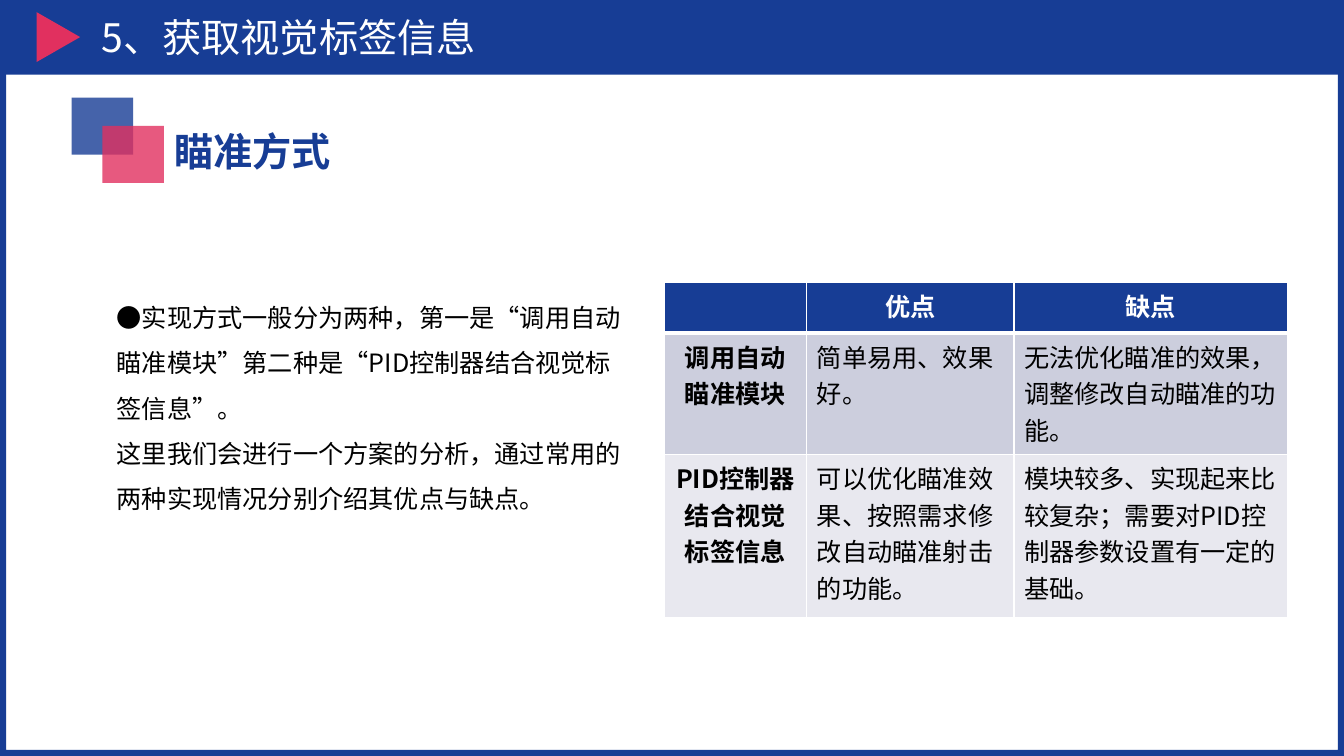
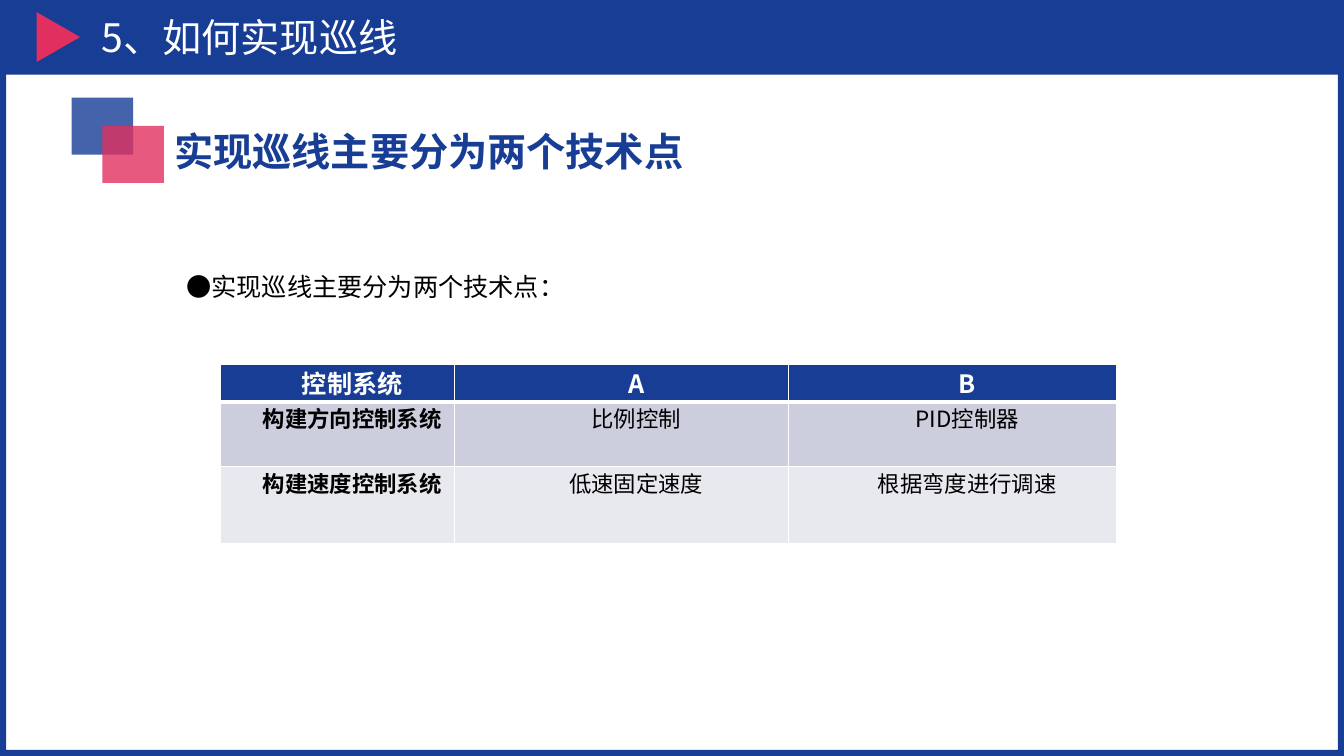
from dataclasses import dataclass

from lxml import etree
from pptx import Presentation
from pptx.dml.color import RGBColor
from pptx.enum.shapes import MSO_SHAPE
from pptx.enum.text import MSO_ANCHOR, PP_ALIGN
from pptx.oxml.ns import qn
from pptx.util import Pt

FONT = "Noto Sans CJK SC"
BLUE, RED, WHITE, BLACK = "173D95", "E1305F", "FFFFFF", "000000"
BAND_DARK, BAND_LIGHT = "CCCEDD", "E8E8EF"
SLIDE_WIDTH, SLIDE_HEIGHT, HEADER_HEIGHT = 960, 540, 53.3


@dataclass(frozen=True)
class Box:
    left: float
    top: float
    width: float
    height: float

    def lengths(self) -> tuple:
        return Pt(self.left), Pt(self.top), Pt(self.width), Pt(self.height)


@dataclass(frozen=True)
class Comparison:
    """A table whose first row and first column are headings."""
    left: float
    top: float
    columns: tuple
    rows: tuple
    cells: tuple
    body_size: float = 18
    body_align: PP_ALIGN = PP_ALIGN.LEFT
    indent: float = 0
    side_margin: float = 7.2
    end_margin: float = 3.6


@dataclass(frozen=True)
class Topic:
    title: str
    heading: str
    heading_width: float
    body: tuple
    body_box: Box
    line_spacing: float
    comparison: Comparison


TOPICS = (
    Topic(
        "5、获取视觉标签信息", "瞄准方式", 127.5,
        ("●实现方式一般分为两种，第一是“调用自动瞄准模块”第二种是“PID控制器结合视觉标签信息”。",
         "这里我们会进行一个方案的分析，通过常用的两种实现情况分别介绍其优点与缺点。"),
        Box(76.3, 201.6, 380.2, 170.6), 1.5,
        Comparison(
            474.3, 201.8, (102, 148, 195.2), (36, 87, 116),
            (("", "优点", "缺点"),
             ("调用自动瞄准模块", "简单易用、效果好。",
              "无法优化瞄准的效果，调整修改自动瞄准的功能。"),
             ("PID控制器结合视觉标签信息",
              "可以优化瞄准效果、按照需求修改自动瞄准射击的功能。",
              "模块较多、实现起来比较复杂；需要对PID控制器参数设置有一定的基础。")))),
    Topic(
        "5、如何实现巡线", "实现巡线主要分为两个技术点", 382.5,
        ("●实现巡线主要分为两个技术点：",),
        Box(126, 190, 731, 29), 1,
        Comparison(
            157.7, 260, (167, 238.5, 234.5), (27, 46, 55.5),
            (("控制系统", "A", "B"),
             ("构建方向控制系统", "比例控制", "PID控制器"),
             ("构建速度控制系统", "低速固定速度", "根据弯度进行调速")),
            body_size=16, body_align=PP_ALIGN.CENTER, indent=21,
            side_margin=5, end_margin=0)),
)


def rgb(color: str) -> RGBColor:
    return RGBColor.from_string(color)


def write(frame, *paragraphs: str, size: float = 18, color: str = BLACK,
          bold: bool = False, align: PP_ALIGN = PP_ALIGN.LEFT,
          line_spacing: float = 1, indent: float = 0) -> None:
    for index, text in enumerate(paragraphs):
        paragraph = frame.add_paragraph() if index else frame.paragraphs[0]
        paragraph.alignment = align
        paragraph.line_spacing = line_spacing
        if indent:
            paragraph._p.get_or_add_pPr().set("indent", str(Pt(indent)))
        run = paragraph.add_run()
        run.text = text
        run.font.size, run.font.bold, run.font.name = Pt(size), bold, FONT
        run.font.color.rgb = rgb(color)
        etree.SubElement(run._r.rPr, qn("a:ea"), typeface=FONT)


def add_text(shapes, box: Box, *paragraphs: str, wrap: bool = True,
             anchor: MSO_ANCHOR = MSO_ANCHOR.TOP, **text_format) -> None:
    frame = shapes.add_textbox(*box.lengths()).text_frame
    frame.word_wrap = wrap
    frame.vertical_anchor = anchor
    write(frame, *paragraphs, **text_format)


def add_solid(shapes, preset: MSO_SHAPE, box: Box, color: str, opacity: int = 100):
    """Add a preset shape without outline; opacity is a percentage."""
    solid = shapes.add_shape(preset, *box.lengths())
    solid.shadow.inherit = False
    solid.fill.solid()
    solid.fill.fore_color.rgb = rgb(color)
    solid.line.fill.background()
    if opacity < 100:
        tint = solid._element.spPr.find(f"{qn('a:solidFill')}/{qn('a:srgbClr')}")
        etree.SubElement(tint, qn("a:alpha"), val=str(opacity * 1000))
    return solid


def add_header(shapes, title: str) -> None:
    border = add_solid(shapes, MSO_SHAPE.FRAME, Box(0, 0, SLIDE_WIDTH, SLIDE_HEIGHT), BLUE)
    border.adjustments[0] = 0.008
    add_solid(shapes, MSO_SHAPE.RECTANGLE, Box(0, 0, SLIDE_WIDTH, HEADER_HEIGHT), BLUE)
    pointer = add_solid(shapes, MSO_SHAPE.ISOSCELES_TRIANGLE, Box(24, 11, 35.5, 31), RED)
    pointer.rotation = 90
    add_text(shapes, Box(65.5, 0, 862.5, HEADER_HEIGHT), title,
             anchor=MSO_ANCHOR.MIDDLE, size=28, color=WHITE)


def add_heading(shapes, heading: str, width: float) -> None:
    group = shapes.add_group_shape().shapes
    for step, color in enumerate((BLUE, RED)):
        add_solid(group, MSO_SHAPE.RECTANGLE,
                  Box(51.2 + 22 * step, 69.8 + 20.2 * step, 44, 40.7), color, opacity=80)
    add_text(group, Box(117.5, 87.3, width, 41), heading,
             wrap=False, size=28, color=BLUE, bold=True)


def set_borders(cell, **widths: float) -> None:
    """Draw white borders; the keywords L, R, T and B are widths in points."""
    properties = cell._tc.get_or_add_tcPr()
    for side, width in widths.items():
        line = etree.SubElement(properties, qn(f"a:ln{side}"), w=str(Pt(width)))
        fill = etree.SubElement(line, qn("a:solidFill"))
        etree.SubElement(fill, qn("a:srgbClr"), val=WHITE)


def add_comparison(shapes, comparison: Comparison) -> None:
    columns, rows = comparison.columns, comparison.rows
    area = Box(comparison.left, comparison.top, sum(columns), sum(rows))
    table = shapes.add_table(len(rows), len(columns), *area.lengths()).table
    table.horz_banding = False
    for column, width in zip(table.columns, columns):
        column.width = Pt(width)
    for row, height in zip(table.rows, rows):
        row.height = Pt(height)

    for r, (texts, fill) in enumerate(zip(comparison.cells, (BLUE, BAND_DARK, BAND_LIGHT))):
        for c, text in enumerate(texts):
            cell = table.cell(r, c)
            is_heading = r == 0 or c == 0
            set_borders(cell, L=1, R=1, T=3 if r == 1 else 1, B=3 if r == 0 else 1)
            cell.fill.solid()
            cell.fill.fore_color.rgb = rgb(fill)
            cell.margin_left = cell.margin_right = Pt(comparison.side_margin)
            cell.margin_top = cell.margin_bottom = Pt(comparison.end_margin)
            if text:
                write(cell.text_frame, text, bold=is_heading, indent=comparison.indent,
                      size=comparison.body_size if r else 18,
                      color=BLACK if r else WHITE,
                      align=PP_ALIGN.CENTER if is_heading else comparison.body_align)


def main() -> None:
    presentation = Presentation()
    presentation.slide_width, presentation.slide_height = Pt(SLIDE_WIDTH), Pt(SLIDE_HEIGHT)
    blank = presentation.slide_layouts[6]
    for topic in TOPICS:
        shapes = presentation.slides.add_slide(blank).shapes
        add_header(shapes, topic.title)
        add_heading(shapes, topic.heading, topic.heading_width)
        add_comparison(shapes, topic.comparison)
        add_text(shapes, topic.body_box, *topic.body, line_spacing=topic.line_spacing)
    presentation.save("out.pptx")


if __name__ == "__main__":
    main()
